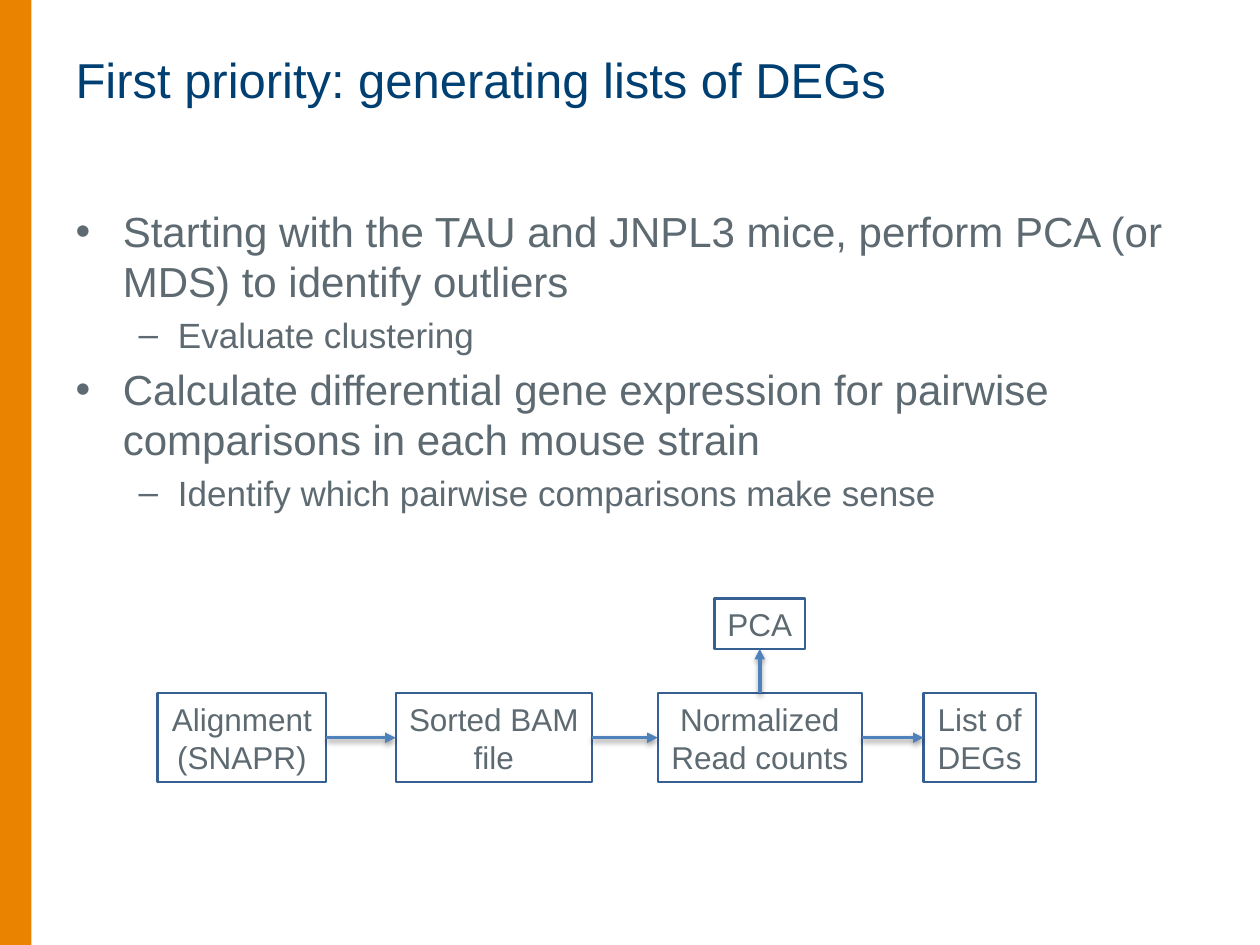
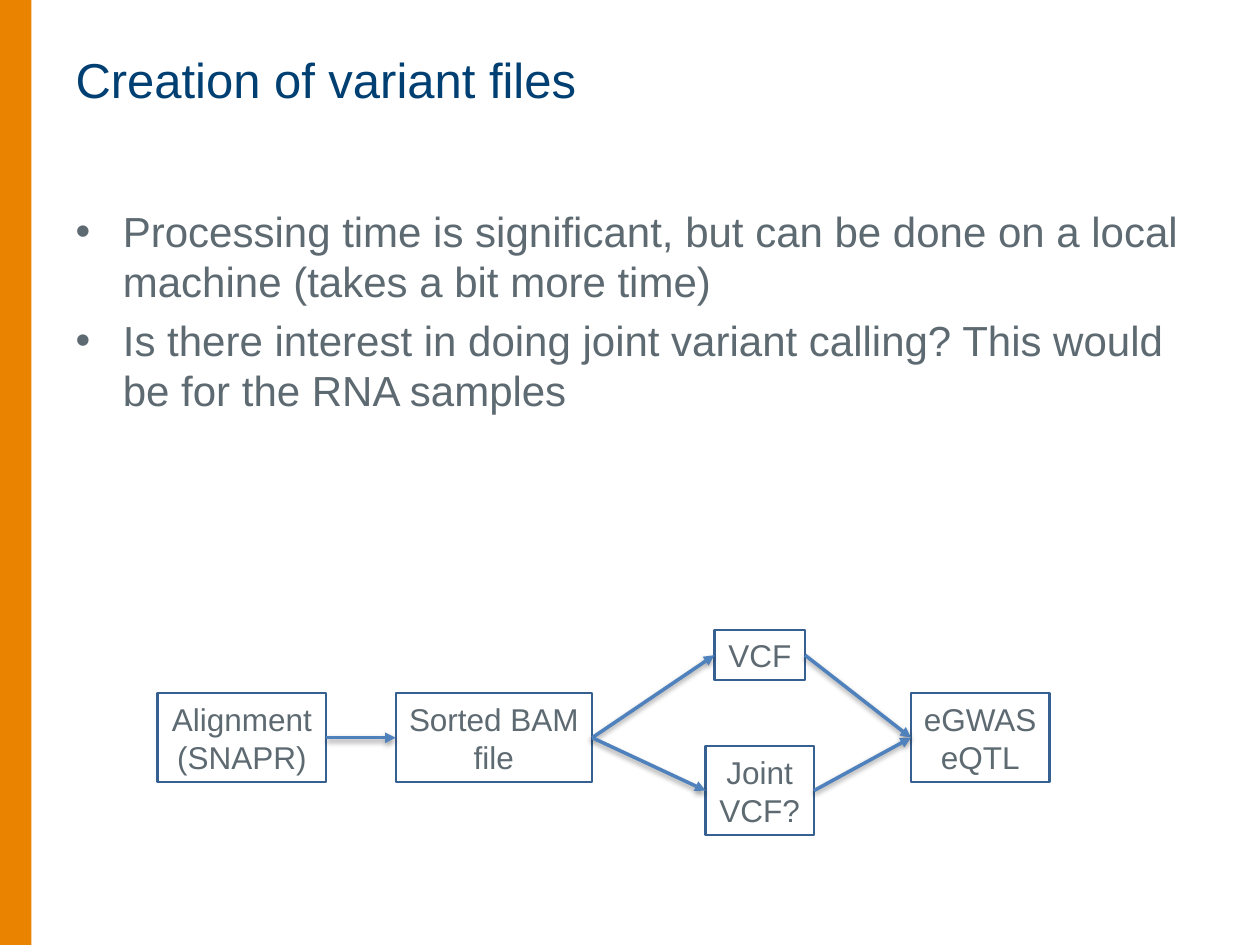
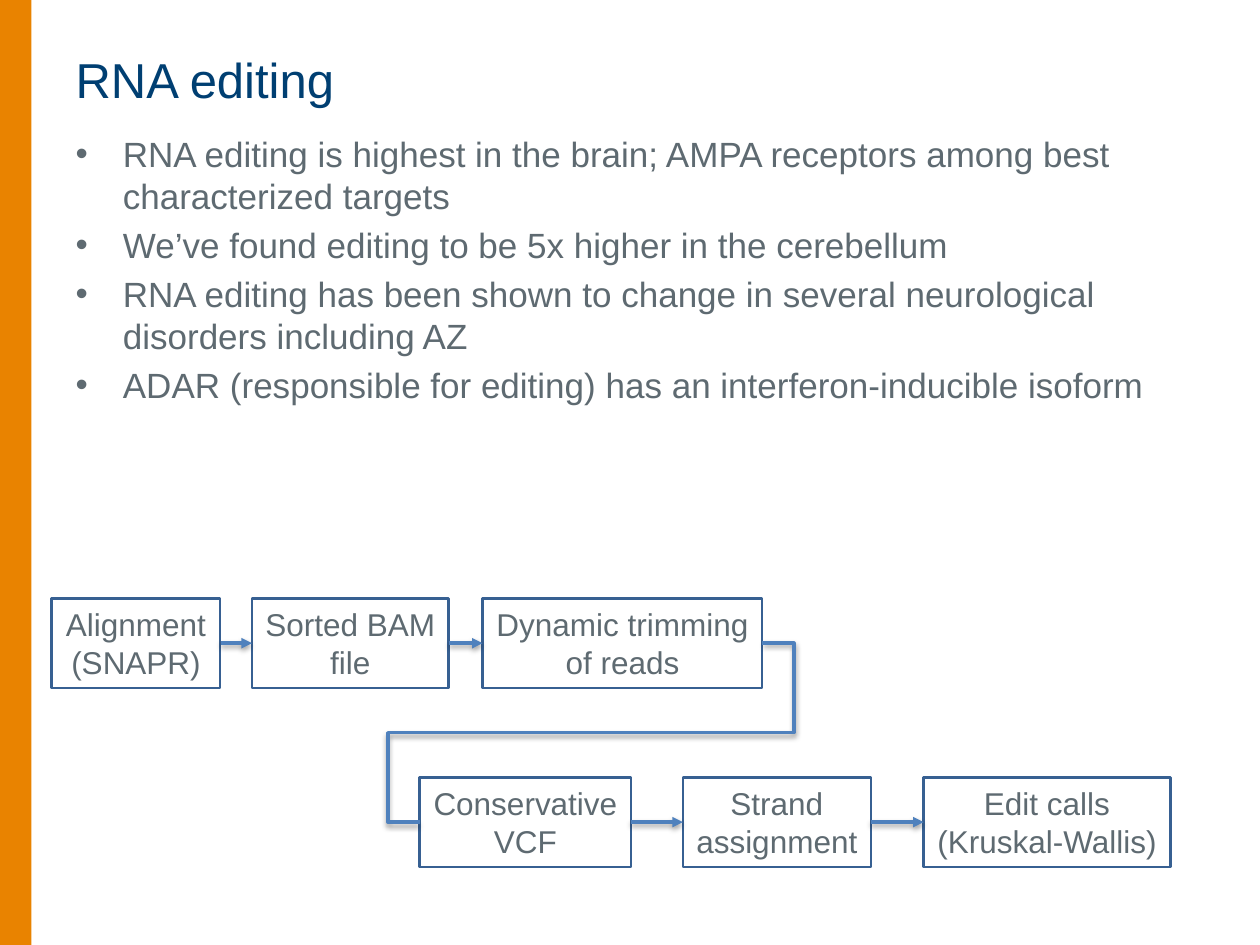
import lxml.etree
import pptx
import pptx.dml.color
import pptx.enum.shapes
import pptx.enum.text
import pptx.oxml
import pptx.oxml.ns
import pptx.util
from pptx.util import Inches

COLORS = {
    "bar": "E98300",
    "title": "003F72",
    "text": "5E6A71",
    "edge": "376092",
    "arrow": "4F81BD",
}
FONT = "Arial"
TOP, LEFT, BOTTOM, RIGHT = 0, 1, 2, 3
HEIGHTS = {1: 0.4, 2: 0.71}  # box height by number of text lines
SHADOW = (
    '<a:effectLst xmlns:a="http://schemas.openxmlformats.org/drawingml/2006/main">'
    '<a:outerShdw blurRad="40000" dist="20000" dir="5400000" rotWithShape="0">'
    '<a:srgbClr val="000000"><a:alpha val="38000"/></a:srgbClr>'
    "</a:outerShdw></a:effectLst>"
)


def rgb(name):
    return pptx.dml.color.RGBColor.from_string(COLORS[name])


class Deck:
    def __init__(self):
        self.prs = pptx.Presentation()
        self.prs.slide_width = Inches(10)
        self.prs.slide_height = Inches(7.5)
        self.slide = None

    def style(self, para, size, color):
        for run in para.runs:
            run.font.name = FONT
            run.font.size = pptx.util.Pt(size)
            run.font.color.rgb = rgb(color)

    def place(self, shape, left, top, width, height):
        shape.left, shape.top = Inches(left), Inches(top)
        shape.width, shape.height = Inches(width), Inches(height)

    def rect(self, left, top, width, height):
        shape = self.slide.shapes.add_shape(
            pptx.enum.shapes.MSO_SHAPE.RECTANGLE,
            Inches(left), Inches(top), Inches(width), Inches(height))
        shape.shadow.inherit = False
        return shape

    def start(self, title):
        """Add a slide with the side bar and its title."""
        self.slide = self.prs.slides.add_slide(self.prs.slide_layouts[1])
        bar = self.rect(0, 0, 0.25, 7.5)
        bar.fill.solid()
        bar.fill.fore_color.rgb = rgb("bar")
        bar.line.fill.background()

        head = self.slide.shapes.title
        self.place(head, 0.5, 0, 9, 1.25)
        frame = head.text_frame
        frame.text = title
        frame.auto_size = pptx.enum.text.MSO_AUTO_SIZE.NONE
        frame.vertical_anchor = pptx.enum.text.MSO_ANCHOR.MIDDLE
        frame.paragraphs[0].alignment = pptx.enum.text.PP_ALIGN.LEFT
        self.style(frame.paragraphs[0], 28, "title")

    def bullets(self, top, height, items, sizes=(24, 20)):
        """Fill the body with (level, text) items; sizes go by level."""
        body = self.slide.placeholders[1]
        self.place(body, 0.5, top, 9, height)
        frame = body.text_frame
        frame.text = "\n".join(text for level, text in items)
        frame.auto_size = pptx.enum.text.MSO_AUTO_SIZE.NONE
        for para, (level, text) in zip(frame.paragraphs, items):
            para.level = level
            self.style(para, sizes[level], "text")

    def box(self, left, top, width, text):
        lines = text.count("\n") + 1
        shape = self.rect(left, top, width, HEIGHTS[lines])
        shape.fill.background()
        shape.line.color.rgb = rgb("edge")
        shape.line.width = pptx.util.Pt(1.25)
        frame = shape.text_frame
        frame.text = text
        frame.word_wrap = False
        frame.auto_size = pptx.enum.text.MSO_AUTO_SIZE.SHAPE_TO_FIT_TEXT
        for para in frame.paragraphs:
            para.alignment = pptx.enum.text.PP_ALIGN.CENTER
            self.style(para, 18, "text")
        return shape

    def row(self, top, *cells):
        return [self.box(left, top, width, text) for left, width, text in cells]

    def join(self, kind, first, second, out, into):
        link = self.slide.shapes.add_connector(kind, 0, 0, 0, 0)
        link.begin_connect(first, out)
        link.end_connect(second, into)
        link.line.color.rgb = rgb("arrow")
        link.line.width = pptx.util.Pt(2)
        link.element.spPr.append(pptx.oxml.parse_xml(SHADOW))
        return link

    def arrow(self, first, second, out=RIGHT, into=LEFT):
        kind = pptx.enum.shapes.MSO_CONNECTOR.STRAIGHT
        link = self.join(kind, first, second, out, into)
        line = link.line.fill and link.element.spPr.find(pptx.oxml.ns.qn("a:ln"))
        lxml.etree.SubElement(line, pptx.oxml.ns.qn("a:tailEnd"), type="triangle")

    def chain(self, boxes):
        for first, second in zip(boxes, boxes[1:]):
            self.arrow(first, second)

    def wrap(self, first, second, reach=0.25):
        """Lead from the end of one row back to the start of the next."""
        kind = pptx.enum.shapes.MSO_CONNECTOR.ELBOW
        link = self.join(kind, first, second, RIGHT, LEFT)
        geom = link.element.spPr.find(pptx.oxml.ns.qn("a:prstGeom"))
        geom.set("prst", "bentConnector5")
        guides = geom.find(pptx.oxml.ns.qn("a:avLst"))
        if guides is None:
            guides = lxml.etree.SubElement(geom, pptx.oxml.ns.qn("a:avLst"))
        part = round(100000 * Inches(reach) / link.width)
        for index, value in enumerate((-part, 50000, 100000 + part), 1):
            lxml.etree.SubElement(guides, pptx.oxml.ns.qn("a:gd"),
                                  name=f"adj{index}", fmla=f"val {value}")


ALIGN = "Alignment\n(SNAPR)"
SORTED = "Sorted BAM\nfile"


def degs(deck):
    deck.start("First priority: generating lists of DEGs")
    deck.bullets(1.58, 3.25, [
        (0, "Starting with the TAU and JNPL3 mice, perform PCA (or MDS) to identify outliers"),
        (1, "Evaluate clustering"),
        (0, "Calculate differential gene expression for pairwise comparisons in each mouse strain"),
        (1, "Identify which pairwise comparisons make sense"),
    ])
    steps = deck.row(5.5, (1.25, 1.34, ALIGN), (3.14, 1.56, SORTED),
                     (5.22, 1.62, "Normalized\nRead counts"),
                     (7.33, 0.89, "List of\nDEGs"))
    deck.chain(steps)
    pca = deck.box(5.67, 4.75, 0.72, "PCA")
    deck.arrow(steps[2], pca, TOP, BOTTOM)


def variants(deck):
    deck.start("Creation of variant files")
    deck.bullets(1.58, 2.83, [
        (0, "Processing time is significant, but can be done on a local machine (takes a bit more time)"),
        (0, "Is there interest in doing joint variant calling? This would be for the RNA samples"),
    ])
    align, bam, result = deck.row(5.5, (1.25, 1.34, ALIGN), (3.14, 1.56, SORTED),
                                  (7.23, 1.1, "eGWAS\neQTL"))
    single = deck.box(5.67, 5, 0.72, "VCF")
    joint = deck.box(5.6, 5.92, 0.86, "Joint\nVCF?")
    deck.arrow(align, bam)
    for call in (single, joint):
        deck.chain([bam, call, result])


def editing(deck):
    deck.start("RNA editing")
    deck.bullets(1, 2.67, [
        (0, "RNA editing is highest in the brain; AMPA receptors among best characterized targets"),
        (0, "We’ve found editing to be 5x higher in the cerebellum"),
        (0, "RNA editing has been shown to change in several neurological disorders including AZ"),
        (0, "ADAR (responsible for editing) has an interferon-inducible isoform"),
    ], sizes=(20,))
    upper = deck.row(4.75, (0.41, 1.34, ALIGN), (2, 1.56, SORTED),
                     (3.83, 2.22, "Dynamic trimming\nof reads"))
    lower = deck.row(6.17, (3.33, 1.68, "Conservative\nVCF"),
                     (5.42, 1.49, "Strand\nassignment"),
                     (7.33, 1.96, "Edit calls\n(Kruskal-Wallis)"))
    deck.chain(upper)
    deck.chain(lower)
    deck.wrap(upper[-1], lower[0])


def main():
    deck = Deck()
    for build in (degs, variants, editing):
        build(deck)
    deck.prs.save("out.pptx")


if __name__ == "__main__":
    main()
